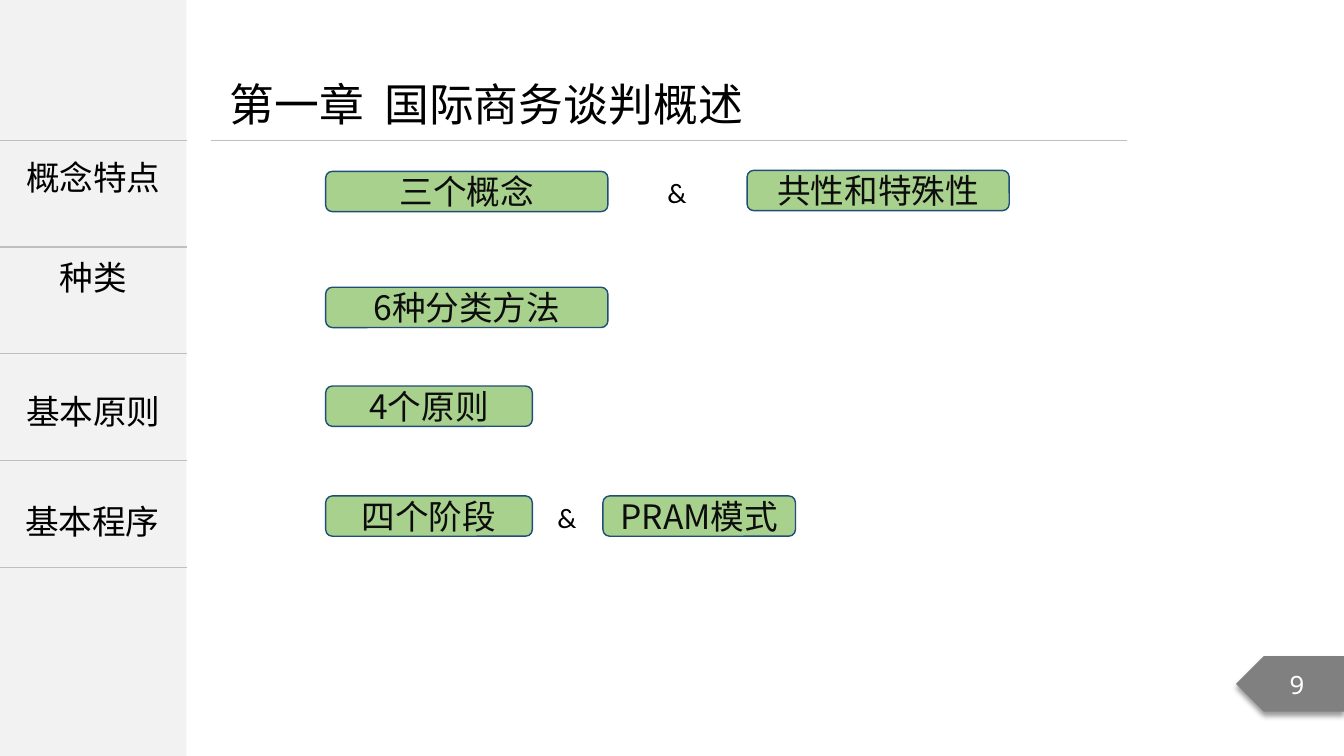
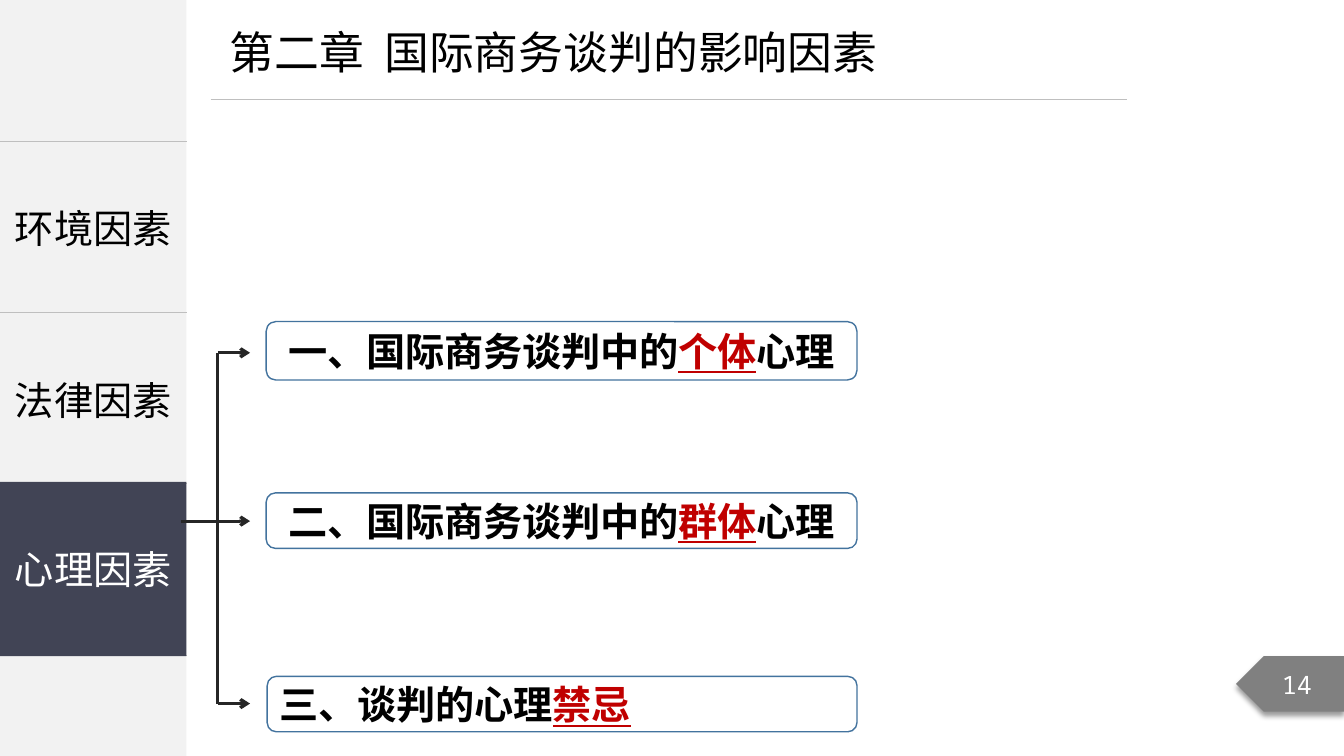
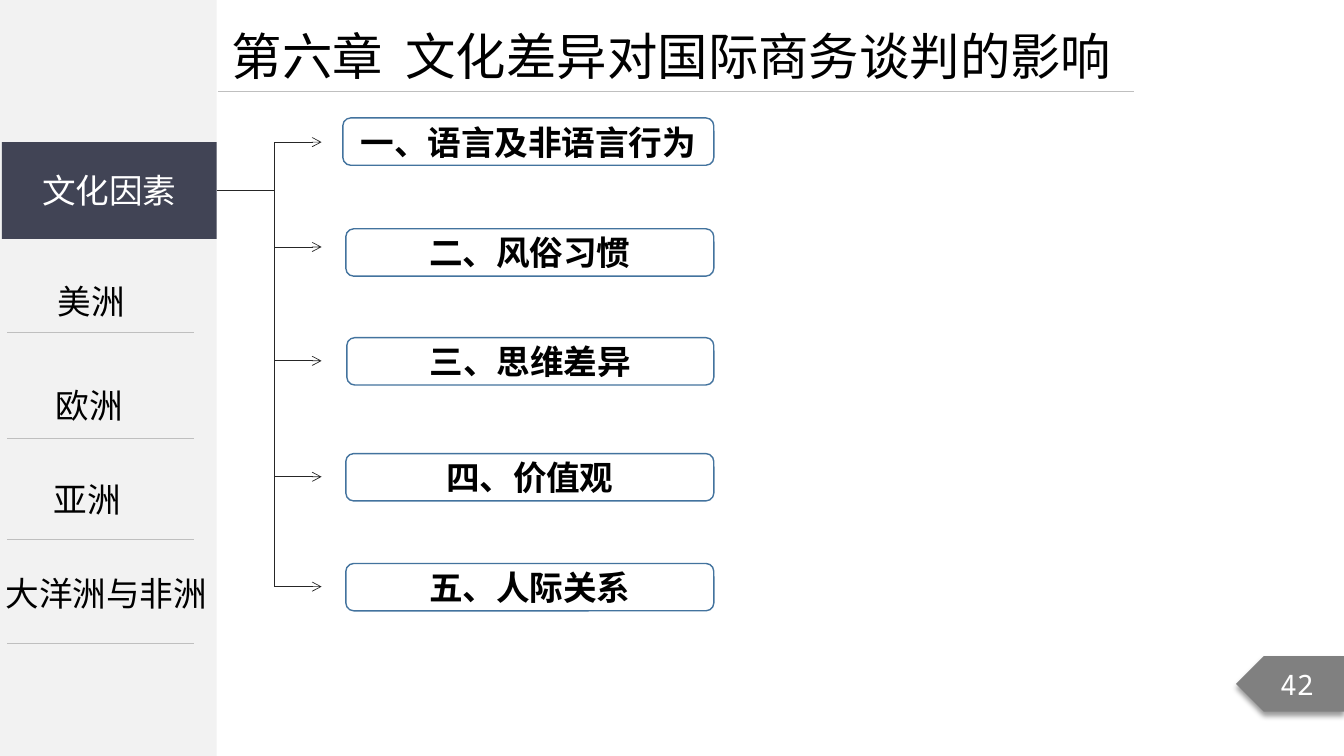
import dataclasses

import lxml.etree
import pptx
import pptx.dml.color
import pptx.enum.shapes
import pptx.enum.text
import pptx.oxml.ns
import pptx.util

Inches = pptx.util.Inches
Pt = pptx.util.Pt
qn = pptx.oxml.ns.qn
SHAPE = pptx.enum.shapes.MSO_SHAPE
ALIGN = pptx.enum.text.PP_ALIGN
ANCHOR = pptx.enum.text.MSO_ANCHOR


@dataclasses.dataclass(frozen=True)
class Theme:
    font: str = "Noto Sans CJK SC"
    number_font: str = "Noto Sans Mono"
    symbol_font: str = "Calibri"
    ink: str = "000000"
    pill_ink: str = "0D0D0D"
    white: str = "FFFFFF"
    sidebar: str = "F2F2F2"
    rule: str = "BFBFBF"
    active: str = "414455"
    tag: str = "808080"
    pill: str = "A9D18E"
    pill_line: str = "1F4E79"
    topic_line: str = "43739E"
    arrow: str = "262626"
    accent: str = "C00000"
    title: int = 32
    wide_title: int = 36
    large: int = 28
    body: int = 24
    symbol: int = 20
    number: int = 18
    large_number: int = 20


T = Theme()


def rgb(value):
    return pptx.dml.color.RGBColor.from_string(value)


def add_run(p, text, size, color=T.ink, font=T.font, bold=False,
            underline=False, tight=False):
    r = p.add_run()
    r.text = text
    r.font.size = Pt(size)
    r.font.name = font
    r.font.bold = bold
    r.font.underline = underline
    r.font.color.rgb = rgb(color)
    rPr = r.font._element
    if tight:
        rPr.set("spc", "-10")
    ea = lxml.etree.Element(qn("a:ea"), typeface=font)
    rPr.find(qn("a:latin")).addnext(ea)


def add_box(slide, kind, x, y, w, h, fill=None, line=None):
    sp = slide.shapes.add_shape(kind, Inches(x), Inches(y), Inches(w), Inches(h))
    sp.shadow.inherit = False
    if fill:
        sp.fill.solid()
        sp.fill.fore_color.rgb = rgb(fill)
    else:
        sp.fill.background()
    if line:
        sp.line.color.rgb = rgb(line)
        sp.line.width = Pt(1)
    else:
        sp.line.fill.background()
    tf = sp.text_frame
    tf.word_wrap = True
    tf.vertical_anchor = ANCHOR.MIDDLE
    tf.paragraphs[0].alignment = ALIGN.CENTER
    return sp


def add_text(slide, text, x, y, w, h, size=T.body, align=ALIGN.CENTER,
             font=T.font, wrap=True, spacing=None):
    sp = slide.shapes.add_textbox(Inches(x), Inches(y), Inches(w), Inches(h))
    tf = sp.text_frame
    tf.word_wrap = wrap
    tf.auto_size = pptx.enum.text.MSO_AUTO_SIZE.SHAPE_TO_FIT_TEXT
    p = tf.paragraphs[0]
    p.alignment = align
    if spacing:
        p.line_spacing = spacing
    add_run(p, text, size, font=font)


def add_line(slide, x1, y1, x2, y2, color=T.rule, width=0.5, arrow=False):
    cn = slide.shapes.add_connector(
        pptx.enum.shapes.MSO_CONNECTOR.STRAIGHT,
        Inches(x1), Inches(y1), Inches(x2), Inches(y2))
    cn.line.color.rgb = rgb(color)
    cn.line.width = Pt(width)
    if arrow:
        ln = cn.line._get_or_add_ln()
        lxml.etree.SubElement(ln, qn("a:tailEnd"), type="arrow")
    lxml.etree.SubElement(cn._element.spPr, qn("a:effectLst"))
    return cn


def add_page_tag(slide, number, size):
    """Left-pointing page number with a soft shadow below."""
    sp = add_box(slide, SHAPE.PENTAGON, 12.26, 6.51, 1.07, 0.55, T.tag)
    spPr = sp._element.spPr
    spPr.find(qn("a:xfrm")).set("flipH", "1")
    shadow = lxml.etree.SubElement(
        spPr.find(qn("a:effectLst")), qn("a:outerShdw"),
        blurRad=str(Pt(4)), dist=str(Pt(3)), dir="5400000", rotWithShape="0")
    clr = lxml.etree.SubElement(shadow, qn("a:srgbClr"), val="000000")
    lxml.etree.SubElement(clr, qn("a:alpha"), val="40000")
    add_run(sp.text_frame.paragraphs[0], str(number), size, T.white, T.number_font)


def add_frame(prs, title, page, title_at, rule_at, sidebar_w=1.85,
              title_size=T.title, page_size=T.number, wrap=False):
    """New slide with sidebar, title, rule and page tag."""
    slide = prs.slides.add_slide(prs.slide_layouts[6])
    add_box(slide, SHAPE.RECTANGLE, 0, 0, sidebar_w, 7.5, T.sidebar)
    x, y = rule_at
    add_line(slide, x, y, x + 9.09, y)
    add_text(slide, title, *title_at, size=title_size, align=ALIGN.LEFT, wrap=wrap)
    add_page_tag(slide, page, page_size)
    return slide


def set_cell_borders(cell):
    tcPr = cell._tc.get_or_add_tcPr()
    for side in ("L", "R", "T", "B"):
        ln = lxml.etree.SubElement(tcPr, qn("a:ln" + side), w=str(Pt(1)))
        if side in "LR":
            lxml.etree.SubElement(ln, qn("a:noFill"))
        else:
            fill = lxml.etree.SubElement(ln, qn("a:solidFill"))
            lxml.etree.SubElement(fill, qn("a:srgbClr"), val=T.rule)


def add_sidebar_table(slide, labels, y, row_h, size, anchor, bottoms):
    """One ruled row per label; bottoms are the bottom margins of the cells."""
    n = len(labels)
    table = slide.shapes.add_table(
        n, 1, Inches(0), Inches(y), Inches(1.85), Inches(row_h * n)).table
    table.first_row = table.horz_banding = False
    for i, (label, bottom) in enumerate(zip(labels, bottoms)):
        cell = table.cell(i, 0)
        set_cell_borders(cell)
        cell.fill.background()
        cell.vertical_anchor = anchor
        cell.margin_top = Inches(0)
        cell.margin_bottom = Inches(bottom)
        p = cell.text_frame.paragraphs[0]
        p.alignment = ALIGN.CENTER
        if label:
            add_run(p, label, size)


def add_active(slide, text, x, y, w, h, size):
    """Dark block marking the current sidebar entry."""
    sp = add_box(slide, SHAPE.RECTANGLE, x, y, w, h, T.active)
    add_run(sp.text_frame.paragraphs[0], text, size, T.white)
    return sp


def add_pill(slide, text, x, y, w):
    sp = add_box(slide, SHAPE.ROUNDED_RECTANGLE, x, y, w, 0.4, T.pill, T.pill_line)
    sp.text_frame.margin_left = sp.text_frame.margin_right = Inches(0.05)
    add_run(sp.text_frame.paragraphs[0], text, T.body, T.pill_ink)


def add_topic(slide, x, y, w, h, size, before, key="", after="", align=ALIGN.CENTER):
    """Outlined bold topic; key is the red underlined part."""
    sp = add_box(slide, SHAPE.ROUNDED_RECTANGLE, x, y, w, h, line=T.topic_line)
    p = sp.text_frame.paragraphs[0]
    p.alignment = align
    for text, is_key in ((before, False), (key, True), (after, False)):
        if text:
            add_run(p, text, size, T.accent if is_key else T.ink,
                    bold=True, underline=is_key, tight=True)


def add_branches(slide, x, tip, ys, stem_x, stem_y, width):
    """Trunk at x with an arrow at each y; returns the stem on its left."""
    add_line(slide, x, ys[0], x, ys[-1], T.arrow, width)
    for y in ys:
        add_line(slide, x, y, tip, y, T.arrow, width, arrow=True)
    return add_line(slide, stem_x, stem_y, x, stem_y, T.arrow, width)


def build_overview(prs):
    slide = add_frame(prs, "第一章  国际商务谈判概述", 9,
                      (2.18, 0.71, 5.59, 0.64), (2.09, 1.39))
    add_sidebar_table(slide, ["概念特点", "种类", "", ""], 1.39, 1.06,
                      T.body, ANCHOR.BOTTOM, [0.46, 0.53, 0.05, 0.05])
    for text, x, y in (("基本原则", 0.15, 3.83), ("基本程序", 0.14, 4.92)):
        add_text(slide, text, x, y, 1.55, 0.5, wrap=False)
    for text, x, y, w in (
            ("三个概念", 3.23, 1.7, 2.8), ("共性和特殊性", 7.41, 1.69, 2.6),
            ("6种分类方法", 3.23, 2.85, 2.8), ("4个原则", 3.23, 3.83, 2.05),
            ("四个阶段", 3.23, 4.92, 2.05), ("PRAM模式", 5.98, 4.92, 1.91)):
        add_pill(slide, text, x, y, w)
    for x, y in ((6.52, 1.69), (5.43, 4.92)):
        add_text(slide, "&", x, y, 0.39, 0.44, T.symbol, ALIGN.LEFT, T.symbol_font)


def build_factors(prs):
    slide = add_frame(prs, "第二章  国际商务谈判的影响因素", 14,
                      (2.18, 0.2, 6.93, 0.64), (2.09, 0.99))
    factors = ["环境因素", "法律因素", "心理因素"]
    add_sidebar_table(slide, factors, 1.4, 1.7, T.large, ANCHOR.MIDDLE, [0] * 3)
    add_active(slide, factors[-1], 0, 4.78, 1.85, 1.73, T.large)
    add_branches(slide, 2.16, 2.48, [3.5, 5.17, 6.98], 1.8, 5.17, 2.25)
    add_topic(slide, 2.64, 3.19, 5.86, 0.58, T.large,
              "一、国际商务谈判中的", "个体", "心理")
    add_topic(slide, 2.64, 4.89, 5.86, 0.55, T.large,
              "二、国际商务谈判中的", "群体", "心理")
    add_topic(slide, 2.65, 6.71, 5.85, 0.55, T.large,
              "三、谈判的心理", "禁忌", align=ALIGN.LEFT)


def build_culture(prs):
    slide = add_frame(prs, "第六章  文化差异对国际商务谈判的影响", 42,
                      (2.2, 0.2, 9.67, 0.71), (2.16, 0.91), sidebar_w=2.15,
                      title_size=T.wide_title, page_size=T.large_number, wrap=True)
    for y in (3.3, 4.35, 5.35, 6.38):
        add_line(slide, 0.07, y, 1.92, y)
    for text, x, y, w, h, spacing in (
            ("美洲", -0.01, 2.74, 1.83, 0.5, None),
            ("欧洲", -0.03, 3.57, 1.83, 0.64, 1.5),
            ("亚洲", -0.05, 4.5, 1.83, 0.64, 1.5),
            ("大洋洲与非洲", -0.05, 5.63, 2.21, 0.5, None)):
        add_text(slide, text, x, y, w, h, spacing=spacing)
    active = add_active(slide, "文化因素", 0.02, 1.41, 2.13, 0.96, T.body)
    stem = add_branches(slide, 2.72, 3.19, [1.41, 2.45, 3.58, 4.73, 5.82],
                        2.15, 1.89, 0.5)
    stem.begin_connect(active, 3)
    right = 7.08
    for text, x, y in (
            ("一、语言及非语言行为", 3.4, 1.17), ("二、风俗习惯", 3.43, 2.27),
            ("三、思维差异", 3.44, 3.35), ("四、价值观", 3.43, 4.5),
            ("五、人际关系", 3.43, 5.59)):
        add_topic(slide, x, y, right - x, 0.47, T.body, text)


def main():
    prs = pptx.Presentation()
    prs.slide_width = Inches(13.33)
    prs.slide_height = Inches(7.5)
    build_overview(prs)
    build_factors(prs)
    build_culture(prs)
    prs.save("out.pptx")


if __name__ == "__main__":
    main()
